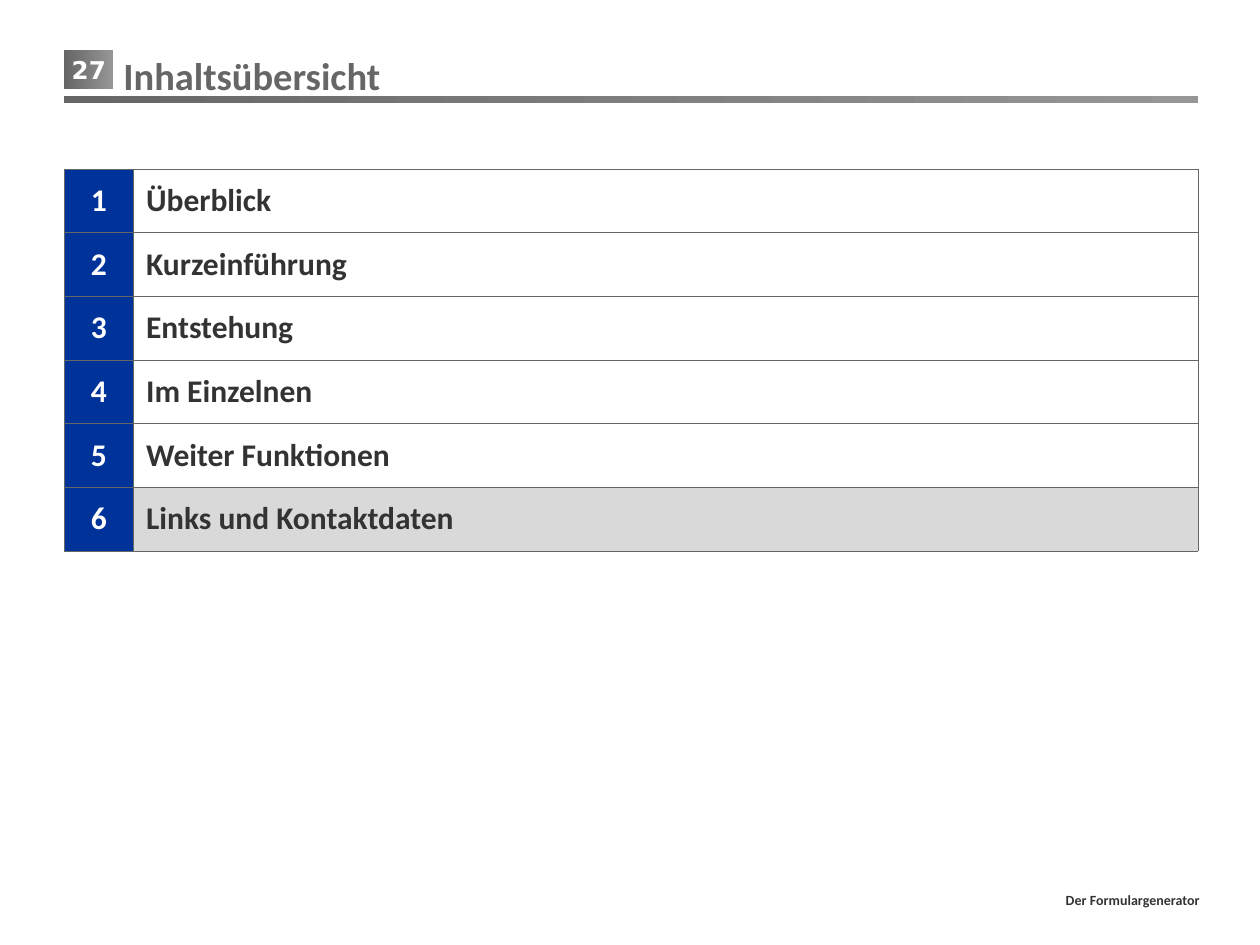
from dataclasses import dataclass

from lxml import etree
from pptx import Presentation
from pptx.dml.color import RGBColor
from pptx.enum.shapes import MSO_SHAPE
from pptx.enum.text import MSO_ANCHOR, PP_ALIGN
from pptx.oxml.ns import qn
from pptx.util import Inches, Pt

RECTANGLE = MSO_SHAPE.RECTANGLE
ROUNDED = MSO_SHAPE.ROUNDED_RECTANGLE
MIDDLE = MSO_ANCHOR.MIDDLE
LEFT, CENTER, RIGHT = PP_ALIGN.LEFT, PP_ALIGN.CENTER, PP_ALIGN.RIGHT
TITLE_ONLY = 5


@dataclass(frozen=True)
class Theme:
    font: str = "Calibri"
    badge_font: str = "DejaVu Sans"
    gray: str = "666666"
    light_gray: str = "969696"
    ink: str = "333333"
    white: str = "FFFFFF"
    blue: str = "003399"
    highlight: str = "D9D9D9"
    title_size: float = 22
    chapter_size: float = 18
    badge_size: float = 14
    footer_size: float = 8
    border_width: float = 0.25


THEME = Theme()
CHAPTERS = ["Überblick", "Kurzeinführung", "Entstehung", "Im Einzelnen",
            "Weiter Funktionen", "Links und Kontaktdaten"]
CURRENT_CHAPTER = 6


def write(frame, text, size, color, align=LEFT, font=THEME.font):
    frame.text = text
    paragraph = frame.paragraphs[0]
    paragraph.alignment = align
    paragraph.font.name = font
    paragraph.font.size = Pt(size)
    paragraph.font.bold = True
    paragraph.font.color.rgb = RGBColor.from_string(color)


def add_panel(slide, kind, left, top, width, height):
    panel = slide.shapes.add_shape(kind, Inches(left), Inches(top),
                                   Inches(width), Inches(height))
    panel.shadow.inherit = False
    panel.line.fill.background()
    panel.text_frame.word_wrap = False
    panel.text_frame.vertical_anchor = MIDDLE
    return panel


def fill_gradient(panel):
    panel.fill.gradient()
    panel.fill.gradient_angle = 0
    for stop, color in zip(panel.fill.gradient_stops, (THEME.gray, THEME.light_gray)):
        stop.color.rgb = RGBColor.from_string(color)


def add_header(slide, left, top, width, number, heading):
    # Page number badge and rule
    badge = add_panel(slide, RECTANGLE, left, top, 0.39, 0.31)
    rule = add_panel(slide, RECTANGLE, left, top + 0.36, width, 0.06)
    for part in (badge, rule):
        fill_gradient(part)
    write(badge.text_frame, number, THEME.badge_size, THEME.white, CENTER, THEME.badge_font)

    # Heading, in front of the badge
    title = slide.shapes.title
    title.left, title.top = Inches(left + 0.37), Inches(top - 0.04)
    title.width, title.height = Inches(width - 0.33), Inches(0.47)
    title.text_frame.vertical_anchor = MIDDLE
    write(title.text_frame, heading, THEME.title_size, THEME.gray)
    title.element.getparent().append(title.element)


def add_borders(cell):
    properties = cell._tc.get_or_add_tcPr()
    for side in ("a:lnL", "a:lnR", "a:lnT", "a:lnB"):
        line = etree.SubElement(properties, qn(side), w=str(Pt(THEME.border_width)))
        solid = etree.SubElement(line, qn("a:solidFill"))
        etree.SubElement(solid, qn("a:srgbClr"), val=THEME.gray)


def fill_cell(cell, text, color, background, align):
    add_borders(cell)
    cell.fill.solid()
    cell.fill.fore_color.rgb = RGBColor.from_string(background)
    cell.margin_left = cell.margin_right = Inches(0.1)
    cell.margin_top = cell.margin_bottom = Inches(0.1)
    write(cell.text_frame, text, THEME.chapter_size, color, align)


def add_contents(slide, left, top, width, row_height, chapters, current):
    number_width = 0.55
    table = slide.shapes.add_table(
        len(chapters), 2, Inches(left), Inches(top),
        Inches(width), Inches(row_height * len(chapters))).table
    table.first_row = table.horz_banding = False
    table.columns[0].width = Inches(number_width)
    table.columns[1].width = Inches(width - number_width)
    for number, chapter in enumerate(chapters, start=1):
        row = number - 1
        background = THEME.highlight if number == current else THEME.white
        fill_cell(table.cell(row, 0), str(number), THEME.white, THEME.blue, CENTER)
        fill_cell(table.cell(row, 1), chapter, THEME.ink, background, LEFT)


def add_footer(slide, left, top, width, height, text):
    footer = add_panel(slide, ROUNDED, left, top, width, height)
    footer.fill.background()
    write(footer.text_frame, text, THEME.footer_size, THEME.ink, RIGHT)


def main():
    deck = Presentation()
    deck.slide_width, deck.slide_height = Inches(10), Inches(7.5)
    slide = deck.slides.add_slide(deck.slide_layouts[TITLE_ONLY])
    margin, content_width = 0.51, 9
    add_footer(slide, 1.15, 6.96, 8.49, 0.36, "Der Formulargenerator")
    add_contents(slide, margin, 1.34, content_width, 0.5, CHAPTERS, CURRENT_CHAPTER)
    add_header(slide, margin, 0.4, content_width, "27", "Inhaltsübersicht")
    deck.save("out.pptx")


if __name__ == "__main__":
    main()
